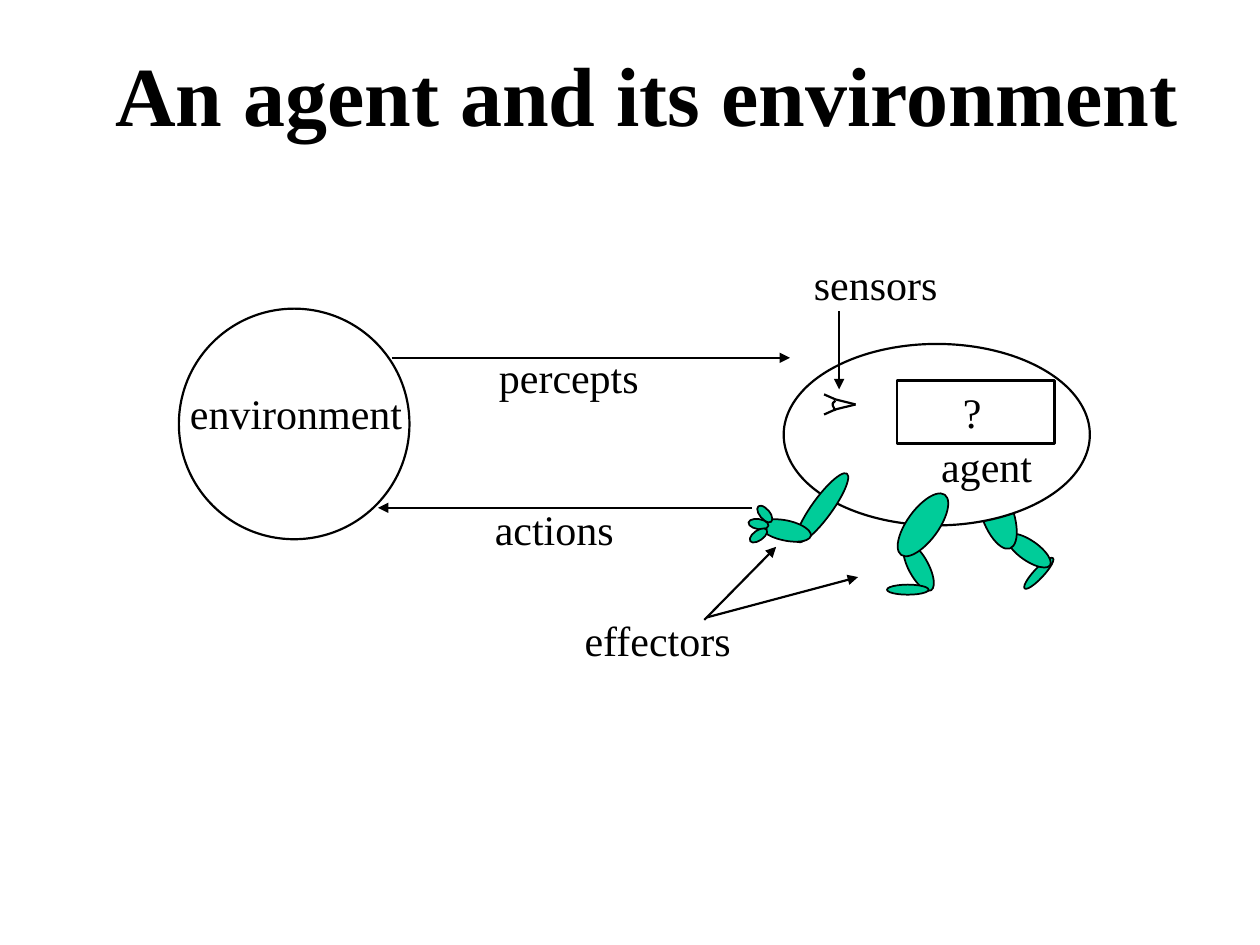
from dataclasses import dataclass

from lxml.etree import SubElement
from pptx import Presentation
from pptx.dml.color import RGBColor
from pptx.enum.shapes import MSO_CONNECTOR as Connector, MSO_SHAPE as Preset
from pptx.enum.text import PP_ALIGN as Align
from pptx.oxml.ns import qn
from pptx.util import Emu, Pt

EMU_PER_PX = 9144
FONT = "Times New Roman"
BLACK = "000000"
WHITE = "FFFFFF"
GREEN = "00CC99"


@dataclass
class Outline:
    left: int
    top: int
    width: int
    height: int
    fill: str | None = None
    preset: Preset = Preset.OVAL


@dataclass
class Limb:
    left: int
    top: int
    width: int
    height: int
    rotation: int


@dataclass
class Label:
    text: str
    left: int
    top: int
    width: int
    height: int = 50
    size: int = 24
    bold: bool = False
    margin: int = 5


@dataclass
class Arrow:
    start: tuple[int, int]
    end: tuple[int, int]


def px(value: int) -> Emu:
    return Emu(value * EMU_PER_PX)


def color(value: str) -> RGBColor:
    return RGBColor.from_string(value)


def style(shape, fill: str | None, line_width: float) -> None:
    shape.shadow.inherit = False
    if fill:
        shape.fill.solid()
        shape.fill.fore_color.rgb = color(fill)
    else:
        shape.fill.background()
    shape.line.color.rgb = color(BLACK)
    shape.line.width = Pt(line_width)


def draw_outline(slide, item: Outline) -> None:
    shape = slide.shapes.add_shape(
        item.preset, px(item.left), px(item.top), px(item.width), px(item.height))
    style(shape, item.fill, 1.25)


def draw_limb(slide, limb: Limb) -> None:
    shape = slide.shapes.add_shape(
        Preset.OVAL, px(limb.left), px(limb.top), px(limb.width), px(limb.height))
    shape.rotation = limb.rotation
    style(shape, GREEN, 1)


def draw_curve(slide, points: list[tuple[int, int]]) -> None:
    builder = slide.shapes.build_freeform(*points[0], scale=EMU_PER_PX)
    builder.add_line_segments(points[1:], close=False)
    style(builder.convert_to_shape(), None, 1.25)


def draw_arrow(slide, arrow: Arrow) -> None:
    connector = slide.shapes.add_connector(
        Connector.STRAIGHT, *map(px, arrow.start), *map(px, arrow.end))
    connector.line.color.rgb = color(BLACK)
    connector.line.width = Pt(1.25)
    SubElement(connector.line._get_or_add_ln(), qn("a:tailEnd"), type="triangle")
    SubElement(connector._element.spPr, qn("a:effectLst"))


def draw_label(slide, label: Label) -> None:
    box = slide.shapes.add_textbox(
        px(label.left), px(label.top), px(label.width), px(label.height))
    frame = box.text_frame
    frame.word_wrap = False
    frame.margin_left = frame.margin_right = 0
    frame.margin_top = frame.margin_bottom = px(label.margin)
    paragraph = frame.paragraphs[0]
    paragraph.text = label.text
    paragraph.alignment = Align.CENTER
    paragraph.font.name = FONT
    paragraph.font.size = Pt(label.size)
    paragraph.font.bold = label.bold
    paragraph.font.color.rgb = color(BLACK)


ENVIRONMENT = Outline(142, 245, 183, 183)
BODY = Outline(622, 273, 243, 144, WHITE)
BRAIN = Outline(712, 302, 125, 50, preset=Preset.RECTANGLE)

REAR_LEG = [
    Limb(808, 451, 33, 8, 313),
    Limb(796, 429, 41, 16, 35),
    Limb(762, 395, 59, 25, 70),
]
FRONT_SHIN = [Limb(708, 442, 42, 16, 62)]
ARM = [
    Limb(619, 395, 67, 16, 126),
    Limb(603, 413, 41, 16, 192),
    Limb(599, 404, 16, 8, 50),
    Limb(594, 412, 16, 8, 9),
    Limb(594, 421, 16, 8, 325),
]
FRONT_LEG = [Limb(703, 404, 59, 25, 126), Limb(704, 464, 33, 8, 0)]

EYE = [
    [(679, 321), (663, 317), (654, 313)],
    [(679, 321), (663, 325), (654, 329)],
    [(663, 326), (661, 322), (661, 320), (663, 318)],
]

ARROWS = [
    Arrow((311, 284), (627, 284)),
    Arrow((597, 403), (300, 403)),
    Arrow((666, 247), (666, 309)),
    Arrow((559, 492), (616, 434)),
    Arrow((561, 490), (681, 458)),
]

LABELS = [
    Label("environment", 141, 303, 188),
    Label("percepts", 386, 274, 131),
    Label("actions", 383, 395, 114),
    Label("?", 754, 302, 35),
    Label("agent", 737, 345, 92),
    Label("sensors", 625, 200, 140),
    Label("effectors", 454, 483, 136),
    Label("An agent and its environment", 67, 34, 892, 56, size=48, bold=True, margin=0),
]


def main() -> None:
    presentation = Presentation()
    presentation.slide_width = px(1000)
    presentation.slide_height = px(750)
    slide = presentation.slides.add_slide(presentation.slide_layouts[6])

    draw_outline(slide, ENVIRONMENT)
    for limb in REAR_LEG + FRONT_SHIN:
        draw_limb(slide, limb)
    draw_outline(slide, BODY)
    draw_outline(slide, BRAIN)
    for limb in ARM + FRONT_LEG:
        draw_limb(slide, limb)
    for points in EYE:
        draw_curve(slide, points)
    for arrow in ARROWS:
        draw_arrow(slide, arrow)
    for label in LABELS:
        draw_label(slide, label)

    presentation.save("out.pptx")


if __name__ == "__main__":
    main()
